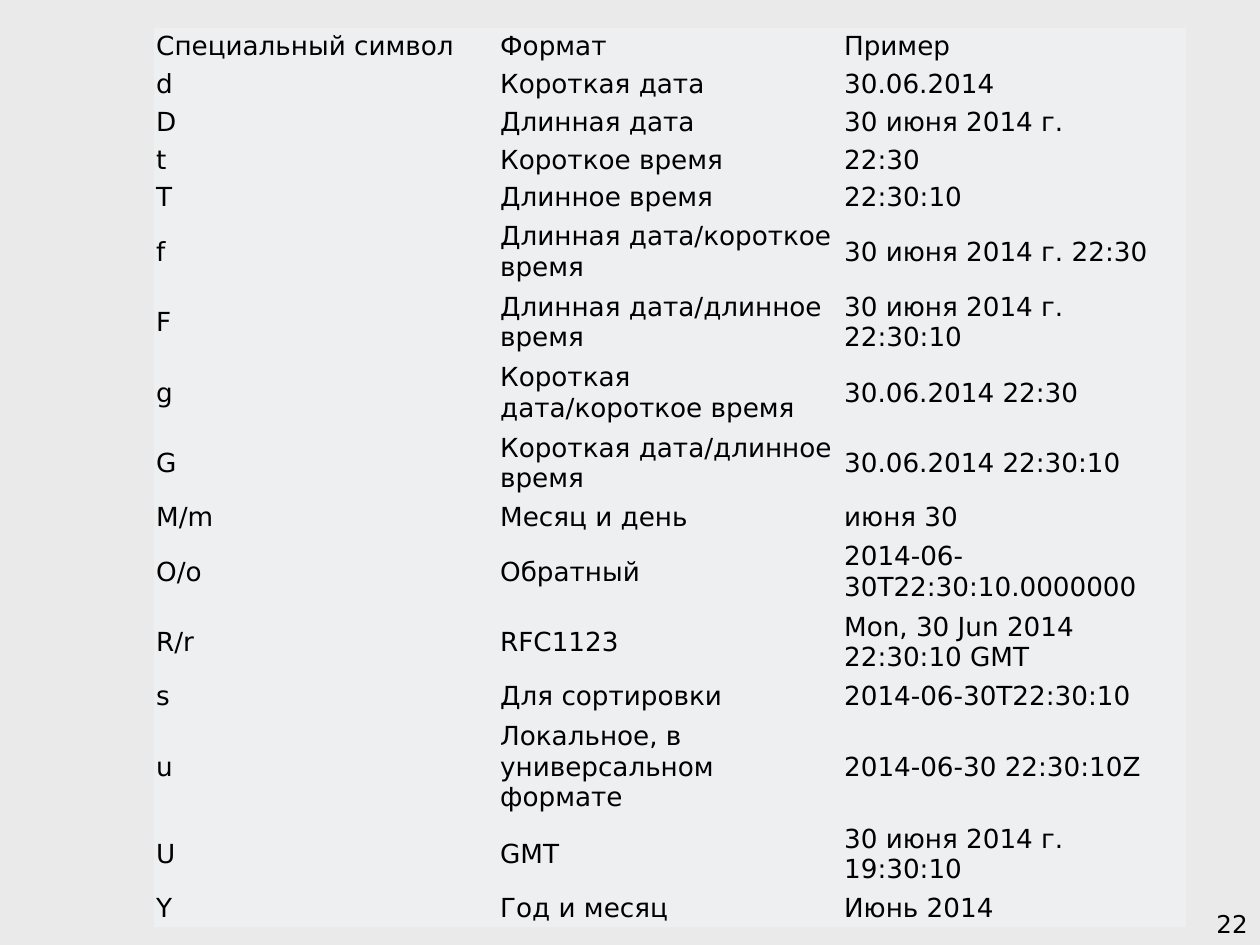
from typing import NamedTuple

from pptx import Presentation
from pptx.dml.color import RGBColor
from pptx.enum.text import MSO_ANCHOR, PP_ALIGN
from pptx.util import Inches, Pt

MIDDLE, BOTTOM = MSO_ANCHOR.MIDDLE, MSO_ANCHOR.BOTTOM
RIGHT = PP_ALIGN.RIGHT

COLORS = {"background": "EAEAEA", "cell": "EEEFF0", "text": "000000"}
FONT = "DejaVu Sans"
WIDTH, HEIGHT = Inches(10), Inches(7.5)
CELL_INSET = Inches(0.02)
LINE_HEIGHT = Inches(0.26)
NO_GRID_STYLE = "{2D5ABB26-0587-4C30-8999-92F81FD0307C}"


class FormatRow(NamedTuple):
    symbol: str
    meaning: str
    example: str
    lines: int = 1


ROWS = [
    FormatRow("Специальный символ", "Формат", "Пример"),
    FormatRow("d", "Короткая дата", "30.06.2014"),
    FormatRow("D", "Длинная дата", "30 июня 2014 г."),
    FormatRow("t", "Короткое время", "22:30"),
    FormatRow("T", "Длинное время", "22:30:10"),
    FormatRow("f", "Длинная дата/короткое время", "30 июня 2014 г. 22:30", 2),
    FormatRow("F", "Длинная дата/длинное время", "30 июня 2014 г. 22:30:10", 2),
    FormatRow("g", "Короткая дата/короткое время", "30.06.2014 22:30", 2),
    FormatRow("G", "Короткая дата/длинное время", "30.06.2014 22:30:10", 2),
    FormatRow("M/m", "Месяц и день", "июня 30"),
    FormatRow("O/o", "Обратный", "2014-06-30T22:30:10.0000000", 2),
    FormatRow("R/r", "RFC1123", "Mon, 30 Jun 2014 22:30:10 GMT", 2),
    FormatRow("s", "Для сортировки", "2014-06-30T22:30:10"),
    FormatRow("u", "Локальное, в универсальном формате", "2014-06-30 22:30:10Z", 3),
    FormatRow("U", "GMT", "30 июня 2014 г. 19:30:10", 2),
    FormatRow("Y", "Год и месяц", "Июнь 2014"),
]


def color(name: str) -> RGBColor:
    return RGBColor.from_string(COLORS[name])


def format_text(text_frame, size: int) -> None:
    for paragraph in text_frame.paragraphs:
        for run in paragraph.runs:
            run.font.name = FONT
            run.font.size = Pt(size)
            run.font.color.rgb = color("text")


def fill_cell(cell, text: str) -> None:
    cell.text_frame.text = text
    format_text(cell.text_frame, 15)
    cell.vertical_anchor = MIDDLE
    cell.margin_left = cell.margin_right = CELL_INSET
    cell.margin_top = cell.margin_bottom = CELL_INSET
    cell.fill.solid()
    cell.fill.fore_color.rgb = color("cell")


def add_format_table(slide, rows: list[FormatRow]) -> None:
    heights = [2 * CELL_INSET + row.lines * LINE_HEIGHT for row in rows]
    column_width = Inches(2.73)
    table = slide.shapes.add_table(
        len(rows), 3, Inches(1.22), Inches(0.22), 3 * column_width, sum(heights)
    ).table
    table.first_row = table.horz_banding = False
    # A style without borders
    table._tbl.tblPr[0].text = NO_GRID_STYLE
    for column in table.columns:
        column.width = column_width
    for table_row, row, height in zip(table.rows, rows, heights):
        table_row.height = height
        for cell, text in zip(table_row.cells, row[:3]):
            fill_cell(cell, text)


def add_page_number(slide, number: str) -> None:
    width, height = Inches(2.08), Inches(0.5)
    text_frame = slide.shapes.add_textbox(
        WIDTH - width, HEIGHT - height, width, height
    ).text_frame
    text_frame.word_wrap = True
    text_frame.vertical_anchor = BOTTOM
    text_frame.text = number
    text_frame.paragraphs[0].alignment = RIGHT
    format_text(text_frame, 14)


def main() -> None:
    presentation = Presentation()
    presentation.slide_width, presentation.slide_height = WIDTH, HEIGHT
    slide = presentation.slides.add_slide(presentation.slide_layouts[6])

    # Background
    slide.background.fill.solid()
    slide.background.fill.fore_color.rgb = color("background")

    # Date format table and page number
    add_format_table(slide, ROWS)
    add_page_number(slide, "22")

    presentation.save("out.pptx")


if __name__ == "__main__":
    main()
